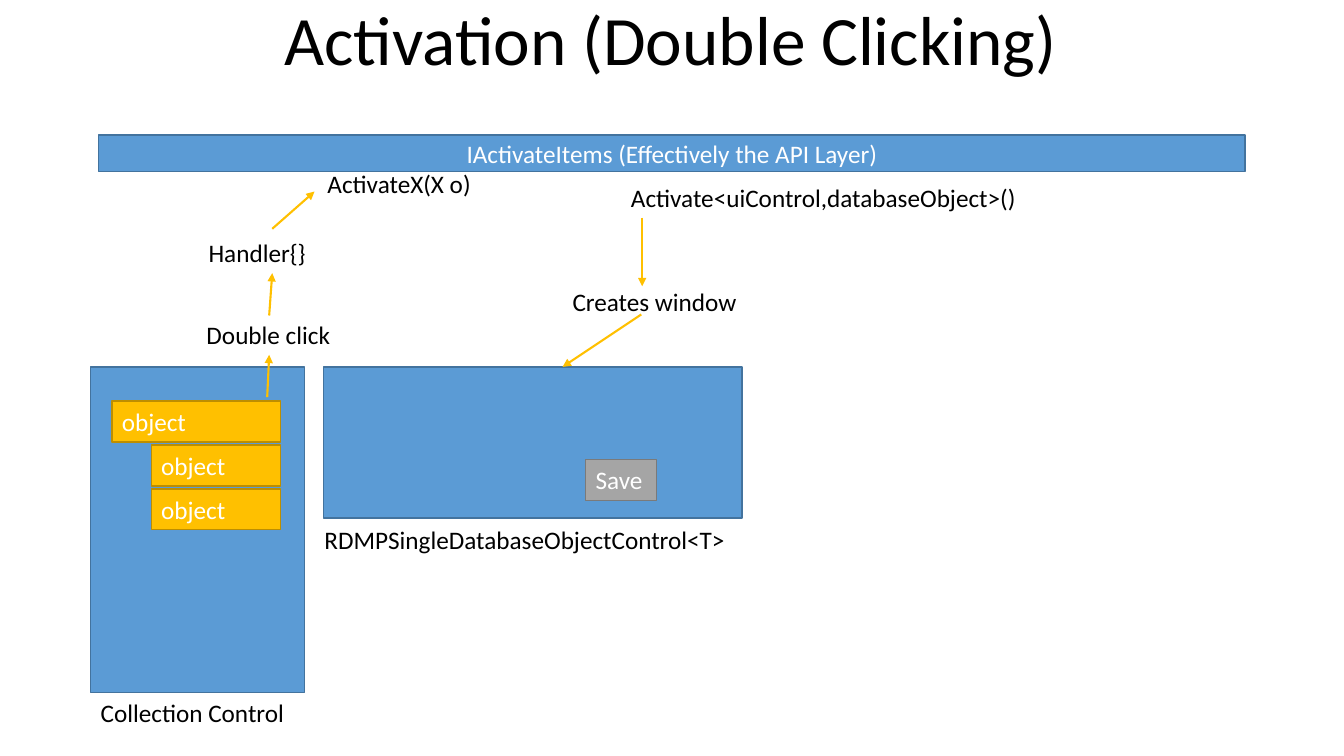
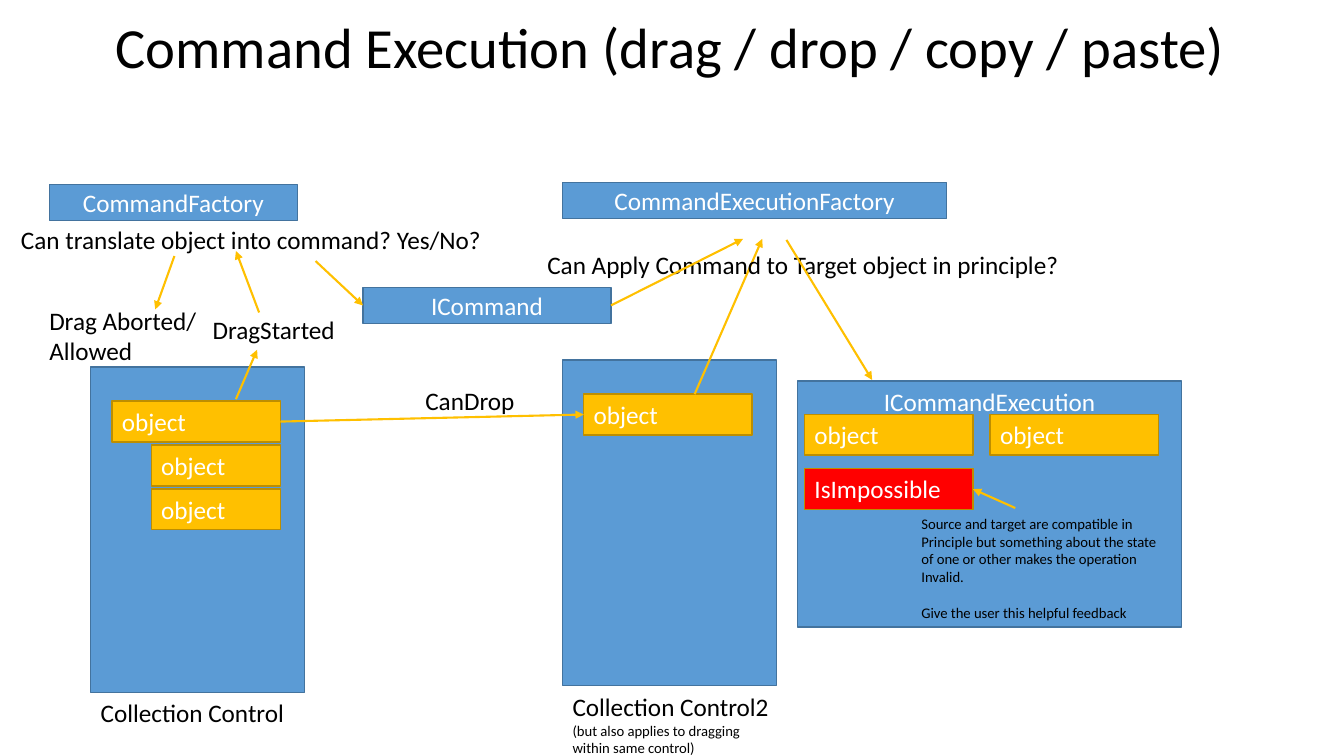
from dataclasses import dataclass
from typing import NamedTuple

from lxml.etree import SubElement
from pptx import Presentation
from pptx.dml.color import RGBColor
from pptx.enum.shapes import MSO_CONNECTOR, MSO_SHAPE
from pptx.enum.text import MSO_ANCHOR, MSO_AUTO_SIZE, PP_ALIGN
from pptx.oxml.ns import qn
from pptx.util import Inches, Pt

# Shared look; all lengths are columns and rows of a 0.1 inch grid
FONT = "Calibri"
BLUE, NAVY = "5B9BD5", "43739E"
GOLD, BROWN = "FFC000", "BD8E00"
GREY, SLATE = "A5A5A5", "7A7A7A"
RED, WHITE, BLACK = "FF0000", "FFFFFF", "000000"
BODY, SMALL = 18, 10.5
ROW, BAR = 4.05, 3.6
ITEM, CHILD = 16.7, 12.8
TOP, LEFT, BOTTOM, RIGHT = range(4)


class Line(NamedTuple):
    text: str
    size: float = BODY
    gap: float = 0


class Port(NamedTuple):
    """The middle of one side of a named box."""
    key: str
    side: int


class Spot(NamedTuple):
    x: float
    y: float


@dataclass
class Box:
    x: float
    y: float
    w: float
    h: float
    text: str = ""
    fill: str = BLUE
    edge: str = NAVY
    align: PP_ALIGN = PP_ALIGN.CENTER
    anchor: MSO_ANCHOR = MSO_ANCHOR.MIDDLE
    key: str = ""


@dataclass
class Label:
    x: float
    y: float
    w: float
    lines: list[Line]
    h: float = ROW
    wrap: bool = False


@dataclass
class Arrow:
    start: Spot | Port
    end: Spot | Port


@dataclass
class Page:
    title: str
    size: float
    marks: list[Box | Label | Arrow]


def grid(n: float) -> int:
    return Inches(n / 10)


def hue(code: str) -> RGBColor:
    return RGBColor.from_string(code)


def tag(x: float, y: float, w: float, text: str) -> Label:
    return Label(x, y, w, [Line(text)])


def chip(x: float, y: float, text: str = "object", w: float = ITEM,
         fill: str = GOLD, edge: str = BROWN, key: str = "") -> Box:
    return Box(x, y, w, ROW, text, fill, edge, PP_ALIGN.LEFT, MSO_ANCHOR.TOP, key)


def pane(x: float, y: float) -> Box:
    return Box(x, y, 21.2, 32.3)


def tree() -> list[Box | Label]:
    """The collection panel with a parent and two child objects."""
    x, y, step = 11.1, 39.8, 4.35
    kids = [chip(x + ITEM - CHILD, y + step * n, w=CHILD) for n in (1, 2)]
    return [pane(9, 36.4), Label(9, 68.7, 22.1, [Line("Collection Control")], wrap=True),
            chip(x, y, key="source"), *kids]


# Drawing
def write(frame, lines: list[Line], color: str, align: PP_ALIGN) -> None:
    for i, line in enumerate(lines):
        para = frame.add_paragraph() if i else frame.paragraphs[0]
        para.alignment = align
        if line.gap:
            para.space_before = Pt(line.gap)
        run = para.add_run()
        run.text = line.text
        run.font.name = FONT
        run.font.size = Pt(line.size)
        run.font.color.rgb = hue(color)


def draw_box(slide, box: Box):
    shape = slide.shapes.add_shape(
        MSO_SHAPE.RECTANGLE, *map(grid, (box.x, box.y, box.w, box.h)))
    shape.shadow.inherit = False
    shape.fill.solid()
    shape.fill.fore_color.rgb = hue(box.fill)
    shape.line.color.rgb = hue(box.edge)
    shape.line.width = Pt(1)
    if box.text:
        frame = shape.text_frame
        frame.word_wrap = True
        frame.vertical_anchor = box.anchor
        write(frame, [Line(box.text)], WHITE, box.align)
    return shape


def draw_label(slide, label: Label) -> None:
    shape = slide.shapes.add_textbox(*map(grid, (label.x, label.y, label.w, label.h)))
    frame = shape.text_frame
    frame.word_wrap = label.wrap
    frame.auto_size = MSO_AUTO_SIZE.SHAPE_TO_FIT_TEXT
    write(frame, label.lines, BLACK, PP_ALIGN.LEFT)


def draw_arrow(slide, arrow: Arrow, made: dict) -> None:
    ends = [Spot(0, 0) if isinstance(e, Port) else e for e in (arrow.start, arrow.end)]
    link = slide.shapes.add_connector(
        MSO_CONNECTOR.STRAIGHT, *(grid(n) for spot in ends for n in spot))
    for end, join in ((arrow.start, link.begin_connect), (arrow.end, link.end_connect)):
        if isinstance(end, Port):
            join(made[end.key], end.side)
    link.line.color.rgb = hue(GOLD)
    link.line.width = Pt(1.5)
    props = link.element.spPr
    SubElement(props.find(qn("a:ln")), qn("a:tailEnd"), type="triangle")
    SubElement(props, qn("a:effectLst"))


def draw_title(slide, page: Page) -> None:
    title = slide.shapes.title
    title.left, title.top, title.width, title.height = map(grid, (9, 1, 115, 7.2))
    frame = title.text_frame
    frame.word_wrap = True
    frame.auto_size = MSO_AUTO_SIZE.NONE
    frame.vertical_anchor = MSO_ANCHOR.BOTTOM
    write(frame, [Line(page.title, page.size)], BLACK, PP_ALIGN.CENTER)
    frame.paragraphs[0].line_spacing = 0.7


def draw_page(deck, page: Page) -> None:
    slide = deck.slides.add_slide(deck.slide_layouts.get_by_name("Title Only"))
    draw_title(slide, page)
    made = {}
    for mark in page.marks:
        if isinstance(mark, Box):
            made[mark.key] = draw_box(slide, mark)
        elif isinstance(mark, Label):
            draw_label(slide, mark)
        else:
            draw_arrow(slide, mark, made)


# Content
OPEN = Page("Activation (Double Clicking)", 49.5, [
    *tree(),
    Box(32.1, 36.4, 41.5, 15),
    Label(31.2, 51.5, 42.4, [Line("RDMPSingleDatabaseObjectControl<T>")], wrap=True),
    Box(9.8, 13.4, 113.7, BAR, "IActivateItems (Effectively the API Layer)"),
    chip(58.1, 45.6, "Save", 7, GREY, SLATE),
    # From the click up to the API
    Arrow(Spot(26.5, 39.4), Spot(26.7, 35.2)),
    tag(19.5, 31.2, 14.4, "Double click"),
    Arrow(Spot(26.7, 31.3), Spot(27, 27.1)),
    tag(19.7, 23, 11.8, "Handler{}"),
    Arrow(Spot(27, 22.7), Spot(31.2, 19)),
    tag(31.5, 16.2, 16.4, "ActivateX(X o)"),
    # From the API down to the window
    Arrow(Spot(63.7, 21.6), Spot(63.7, 28.4)),
    tag(61.6, 17.6, 40.6, "Activate<uiControl,databaseObject>()"),
    tag(55.8, 27.9, 18.5, "Creates window"),
    Arrow(Spot(63.6, 31.2), Spot(55.8, 36.4)),
])

DRAG = Page("Command Execution (drag / drop / copy / paste)", 40.5, [
    *tree(),
    # Start of the drag
    Box(4.9, 18.3, 24.6, BAR, "CommandFactory"),
    tag(20.1, 30.7, 14.3, "DragStarted"),
    Arrow(Spot(23.4, 39.6), Spot(25.5, 34.7)),
    Arrow(Spot(25.7, 31), Spot(23.4, 24.9)),
    tag(1.1, 21.8, 48.2, "Can translate object into command? Yes/No?"),
    Arrow(Spot(17.3, 25.4), Spot(15.4, 30.7)),
    Label(3.9, 29.8, 16.8, [Line("Drag Aborted/"), Line("Allowed")], 7.1),
    # Drop target
    pane(55.8, 35.7),
    Label(55.8, 68.1, 22.1, [
        Line("Collection Control2"),
        Line("(but also applies to dragging within same control)", SMALL),
    ], 7.7, True),
    chip(57.9, 39.1, key="target"),
    Arrow(Port("source", RIGHT), Port("target", LEFT)),
    tag(41.2, 37.7, 11, "CanDrop"),
    Box(55.8, 18.1, 38.1, BAR, "CommandExecutionFactory"),
    Arrow(Spot(68.9, 39.1), Spot(75.6, 23.7)),
    tag(53.3, 24.2, 53.3, "Can Apply Command to Target object in principle?"),
    Arrow(Spot(78, 23.8), Spot(86.5, 37.7)),
    # Resulting execution
    Box(79.1, 37.8, 38.1, 24.4, "ICommandExecution", anchor=MSO_ANCHOR.TOP),
    chip(79.8, 41.1),
    chip(98.2, 41.1),
    chip(79.8, 46.5, "IsImpossible", fill=RED, key="block"),
    Arrow(Spot(100.7, 50.4), Port("block", RIGHT)),
    Label(90.4, 50.6, 25.7, [
        Line("Source and target are compatible in", SMALL),
        Line("Principle but something about the state", SMALL),
        Line("of one or other makes the operation", SMALL),
        Line("Invalid.", SMALL),
        Line("Give the user this helpful feedback", SMALL, 12.8),
    ], 11.6),
    # Command passed to the factory
    Box(36, 28.5, 24.6, BAR, "ICommand", key="command"),
    Arrow(Spot(31.3, 25.9), Port("command", LEFT)),
    Arrow(Port("command", RIGHT), Spot(73.7, 23.7)),
])


def main() -> None:
    deck = Presentation()
    deck.slide_width, deck.slide_height = Inches(13.33), Inches(7.5)
    for page in (OPEN, DRAG):
        draw_page(deck, page)
    deck.save("out.pptx")


if __name__ == "__main__":
    main()
